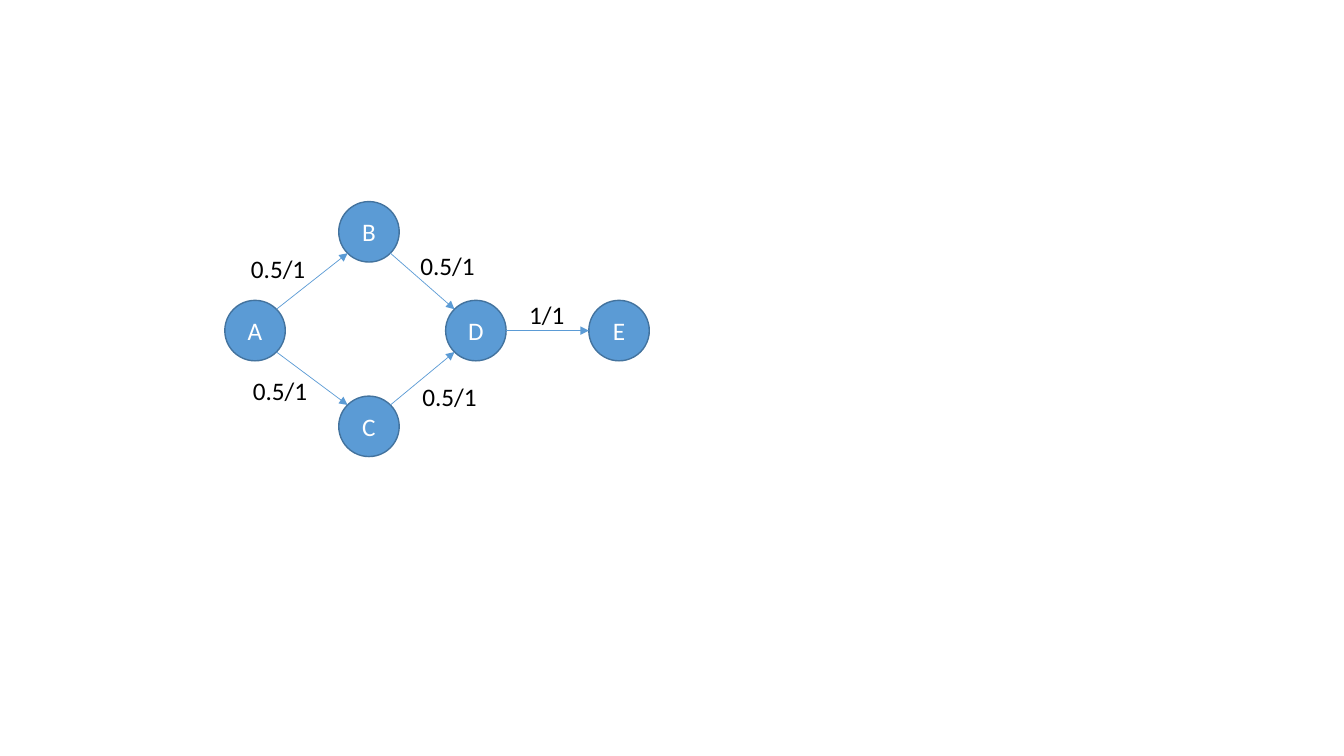
from dataclasses import dataclass
from math import sqrt

from lxml.etree import SubElement
from pptx import Presentation
from pptx.dml.color import RGBColor
from pptx.enum.shapes import MSO_CONNECTOR, MSO_SHAPE
from pptx.enum.text import MSO_ANCHOR, PP_ALIGN
from pptx.oxml.ns import qn
from pptx.util import Inches, Pt


@dataclass(frozen=True)
class Theme:
    font: str = "Calibri"
    size: float = 18
    node_fill: str = "5B9BD5"
    node_line: str = "43739E"
    node_text: str = "FFFFFF"
    edge: str = "5B9BD5"
    label: str = "000000"
    node_width: float = 1
    edge_width: float = 0.5


THEME = Theme()
DIAMETER = 0.6
LABEL_HEIGHT = 0.4

# Node corners and label corners are offsets from the graph's top left.
NODES = {
    "A": (0, 0.98),
    "B": (1.13, 0),
    "C": (1.13, 1.93),
    "D": (2.19, 0.98),
    "E": (3.61, 0.98),
}
# start, end, text, label left, label top, label width
EDGES = [
    ("A", "B", "0.5/1", 0.16, 0.46, 0.84),
    ("B", "D", "0.5/1", 1.84, 0.43, 0.84),
    ("A", "C", "0.5/1", 0.18, 1.67, 0.84),
    ("C", "D", "0.5/1", 1.86, 1.73, 0.84),
    ("D", "E", "1/1", 2.92, 0.92, 0.65),
]


def write(shape, text, color, align):
    tf = shape.text_frame
    tf.text = text
    tf.word_wrap = True
    p = tf.paragraphs[0]
    p.alignment = align
    font = p.runs[0].font
    font.name = THEME.font
    font.size = Pt(THEME.size)
    font.color.rgb = RGBColor.from_string(color)
    return tf


def add_node(shapes, name, left, top):
    s = shapes.add_shape(MSO_SHAPE.OVAL, Inches(left), Inches(top),
                         Inches(DIAMETER), Inches(DIAMETER))
    s.shadow.inherit = False
    s.fill.solid()
    s.fill.fore_color.rgb = RGBColor.from_string(THEME.node_fill)
    s.line.color.rgb = RGBColor.from_string(THEME.node_line)
    s.line.width = Pt(THEME.node_width)
    tf = write(s, name, THEME.node_text, PP_ALIGN.CENTER)
    tf.vertical_anchor = MSO_ANCHOR.MIDDLE


def edge_ends(start, end):
    """Return rim points facing each other, at a side or a 45° diagonal."""
    dx, dy = ((b > a) - (b < a) for a, b in zip(start, end))
    radius = DIAMETER / 2
    reach = radius / sqrt(dx * dx + dy * dy)
    return (start[0] + radius + dx * reach, start[1] + radius + dy * reach,
            end[0] + radius - dx * reach, end[1] + radius - dy * reach)


def add_arrow(shapes, start, end):
    c = shapes.add_connector(MSO_CONNECTOR.STRAIGHT,
                             *(Inches(v) for v in edge_ends(start, end)))
    c.line.color.rgb = RGBColor.from_string(THEME.edge)
    c.line.width = Pt(THEME.edge_width)
    SubElement(c.line._get_or_add_ln(), qn("a:tailEnd"), type="triangle")
    SubElement(c._element.spPr, qn("a:effectLst"))


def add_label(shapes, text, left, top, width):
    tb = shapes.add_textbox(Inches(left), Inches(top),
                            Inches(width), Inches(LABEL_HEIGHT))
    write(tb, text, THEME.label, PP_ALIGN.LEFT)


def add_graph(slide, left, top):
    shapes = slide.shapes.add_group_shape().shapes
    corners = {name: (left + x, top + y) for name, (x, y) in NODES.items()}
    for name, corner in corners.items():
        add_node(shapes, name, *corner)
    for start, end, *_ in EDGES:
        add_arrow(shapes, corners[start], corners[end])
    for _, _, text, x, y, width in EDGES:
        add_label(shapes, text, left + x, top + y, width)


def main():
    prs = Presentation()
    prs.slide_width = Inches(13.33)
    prs.slide_height = Inches(7.5)
    slide = prs.slides.add_slide(prs.slide_layouts[6])
    add_graph(slide, 2.23, 2)
    prs.save("out.pptx")


if __name__ == "__main__":
    main()
